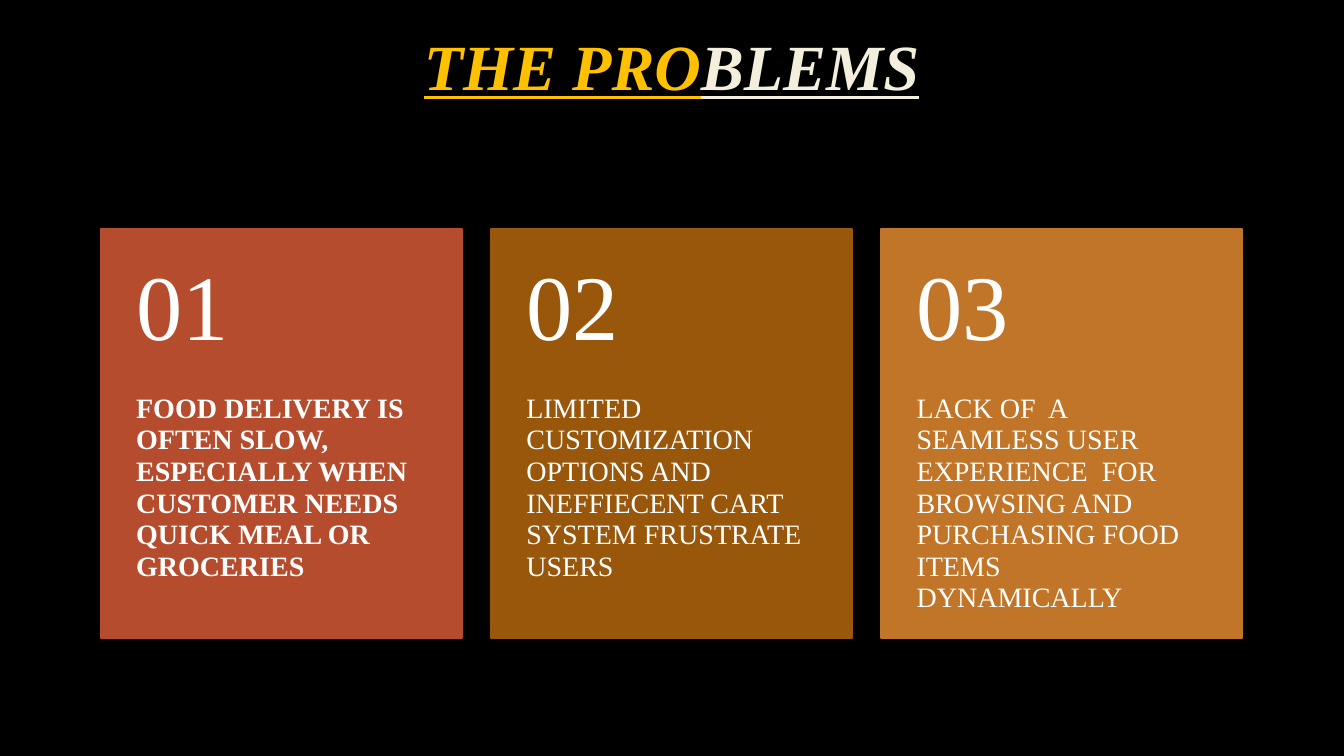
from pptx import Presentation
from pptx.dml.color import RGBColor
from pptx.enum.shapes import MSO_SHAPE
from pptx.enum.text import MSO_ANCHOR, PP_ALIGN
from pptx.util import Inches, Pt

FONT = "Times New Roman"
WHITE = "FFFFFF"
CARD_LEFT, CARD_TOP, CARD_STEP = 1, 2.27, 3.87
CARD_WIDTH, CARD_HEIGHT = 3.58, 4.06
NUMBER_HEIGHT, BODY_TOP, BODY_HEIGHT = 1.62, 3.9, 2.44

# Fill, text, bold
CARDS = [
    ("B54C2D", "FOOD DELIVERY IS OFTEN SLOW, ESPECIALLY WHEN CUSTOMER NEEDS "
               "QUICK MEAL OR GROCERIES", True),
    ("99570C", "LIMITED CUSTOMIZATION OPTIONS AND INEFFIECENT CART SYSTEM "
               "FRUSTRATE USERS", False),
    ("C17529", "LACK OF  A SEAMLESS USER EXPERIENCE  FOR BROWSING AND "
               "PURCHASING FOOD ITEMS DYNAMICALLY", False),
]


def rgb(value):
    return RGBColor.from_string(value)


def add_run(p, text, size, color, bold=False):
    r = p.add_run()
    r.text = text
    r.font.name = FONT
    r.font.size = Pt(size)
    r.font.bold = bold
    r.font.color.rgb = rgb(color)
    return r


def add_text_box(slide, box, insets, anchor, spacing=0.9):
    """Add an empty text box and return its first paragraph."""
    tf = slide.shapes.add_textbox(*map(Inches, box)).text_frame
    tf.word_wrap = True
    tf.vertical_anchor = anchor
    tf.margin_left, tf.margin_top, tf.margin_right, tf.margin_bottom = map(Inches, insets)
    p = tf.paragraphs[0]
    p.line_spacing = spacing
    return p


def add_title(slide):
    p = add_text_box(slide, (1, 0, 11.32, 1.38), (0.1, 0.05, 0.1, 0.05), MSO_ANCHOR.MIDDLE)
    p.alignment = PP_ALIGN.CENTER
    for text, color in (("THE PRO", "FFC000"), ("BLEMS", "F4EEDC")):
        r = add_run(p, text, 46, color, bold=True)
        r.font.italic = True
        r.font.underline = True


def add_card(slide, index, color, text, bold):
    left = CARD_LEFT + index * CARD_STEP
    sp = slide.shapes.add_shape(
        MSO_SHAPE.RECTANGLE, Inches(left), Inches(CARD_TOP),
        Inches(CARD_WIDTH), Inches(CARD_HEIGHT))
    sp.shadow.inherit = False
    sp.fill.solid()
    sp.fill.fore_color.rgb = rgb(color)
    sp.line.color.rgb = rgb(color)
    sp.line.width = Pt(1.25)

    body = add_text_box(slide, (left, BODY_TOP, CARD_WIDTH, BODY_HEIGHT),
                        (0.35, 0, 0.35, 0.36), MSO_ANCHOR.TOP, spacing=0.94)
    add_run(body, text, 20, WHITE, bold)
    number = add_text_box(slide, (left, CARD_TOP, CARD_WIDTH, NUMBER_HEIGHT),
                          (0.35, 0.18, 0.35, 0.18), MSO_ANCHOR.MIDDLE)
    add_run(number, f"{index + 1:02}", 66, WHITE)


def main():
    prs = Presentation()
    prs.slide_width, prs.slide_height = Inches(13.33), Inches(7.5)
    slide = prs.slides.add_slide(prs.slide_layouts[6])
    slide.background.fill.solid()
    slide.background.fill.fore_color.rgb = rgb("000000")
    add_title(slide)
    for index, card in enumerate(CARDS):
        add_card(slide, index, *card)
    prs.save("out.pptx")


if __name__ == "__main__":
    main()
